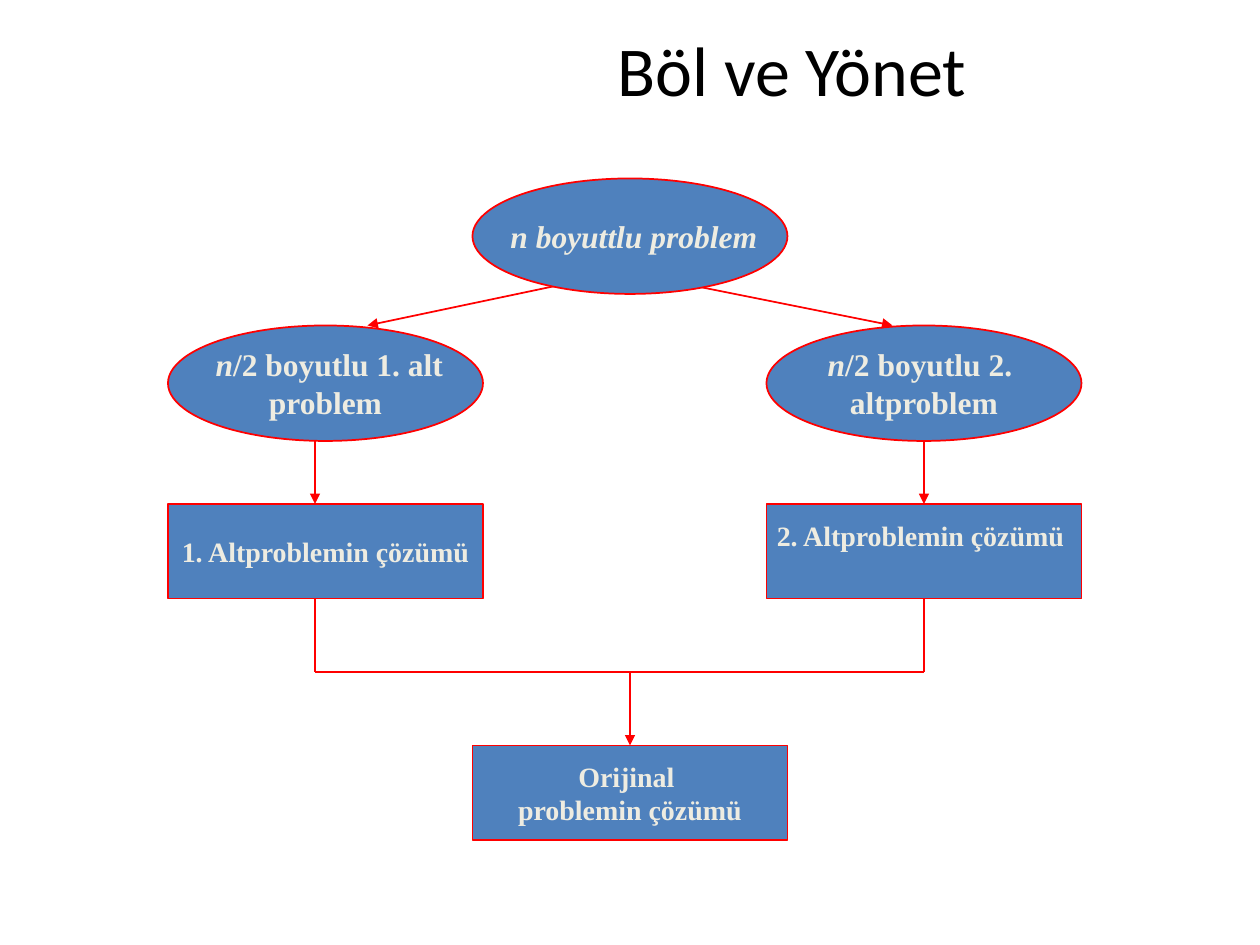
from lxml.etree import SubElement
from pptx import Presentation
from pptx.dml.color import RGBColor
from pptx.enum.shapes import MSO_CONNECTOR, MSO_SHAPE
from pptx.enum.text import MSO_ANCHOR, PP_ALIGN
from pptx.oxml.ns import qn
from pptx.util import Pt

BLACK = RGBColor(0x00, 0x00, 0x00)
RED = RGBColor(0xFF, 0x00, 0x00)
BLUE = RGBColor(0x4F, 0x81, 0xBD)
CREAM = RGBColor(0xEE, 0xEC, 0xE1)

TITLE_FORMAT = {"name": "Calibri", "size": Pt(40)}
PROBLEM_FORMAT = {"name": "Times New Roman", "size": Pt(18), "bold": True}
SOLUTION_FORMAT = {**PROBLEM_FORMAT, "size": Pt(16)}

NODE_WIDTH = 180
PROBLEM_HEIGHT = 66
SOLUTION_HEIGHT = 54
LEFT, MIDDLE, RIGHT = 96, 270, 438
LEFT_AXIS = 180
MIDDLE_AXIS = MIDDLE + NODE_WIDTH / 2
RIGHT_AXIS = RIGHT + NODE_WIDTH / 2
PROBLEM_TOP, SUBPROBLEM_TOP, SOLUTION_TOP, RESULT_TOP = 102, 186, 288, 426
SUBPROBLEM_BOTTOM = SUBPROBLEM_TOP + PROBLEM_HEIGHT
SOLUTION_BOTTOM = SOLUTION_TOP + SOLUTION_HEIGHT
JOIN_LEVEL = 384
TOP_SIDE, BOTTOM_SIDE = 0, 2


class Diagram:
    def __init__(self, slide):
        self.slide = slide

    def set_text(self, text_frame, paragraphs, font_format, color):
        """Fill a frame; each paragraph is a list of (text, italic) runs."""
        text_frame.vertical_anchor = MSO_ANCHOR.MIDDLE
        for index, runs in enumerate(paragraphs):
            paragraph = text_frame.paragraphs[0] if index == 0 else text_frame.add_paragraph()
            paragraph.alignment = PP_ALIGN.CENTER
            for text, italic in runs:
                run = paragraph.add_run()
                run.text = text
                for name, value in font_format.items():
                    setattr(run.font, name, value)
                run.font.italic = italic
                run.font.color.rgb = color

    def title(self, text):
        shape = self.slide.shapes.add_textbox(Pt(48), Pt(12), Pt(648), Pt(54))
        shape.text_frame.word_wrap = True
        shape.text_frame.margin_left = Pt(168)
        self.set_text(shape.text_frame, [[(text, False)]], TITLE_FORMAT, BLACK)

    def node(self, kind, left, top, height, paragraphs, font_format):
        shape = self.slide.shapes.add_shape(kind, Pt(left), Pt(top), Pt(NODE_WIDTH), Pt(height))
        shape.shadow.inherit = False
        shape.fill.solid()
        shape.fill.fore_color.rgb = BLUE
        shape.line.color.rgb = RED
        shape.line.width = Pt(1)
        shape.text_frame.word_wrap = False
        self.set_text(shape.text_frame, paragraphs, font_format, CREAM)
        return shape

    def problem(self, left, top, paragraphs):
        return self.node(MSO_SHAPE.OVAL, left, top, PROBLEM_HEIGHT, paragraphs, PROBLEM_FORMAT)

    def solution(self, left, top, *lines):
        paragraphs = [[(line, False)] for line in lines]
        return self.node(MSO_SHAPE.RECTANGLE, left, top, SOLUTION_HEIGHT, paragraphs, SOLUTION_FORMAT)

    def line(self, start, end, arrow=False):
        points = [Pt(value) for value in (*start, *end)]
        connector = self.slide.shapes.add_connector(MSO_CONNECTOR.STRAIGHT, *points)
        connector.line.color.rgb = RED
        connector.line.width = Pt(1)
        properties = connector._element.spPr
        if arrow:
            SubElement(properties.find(qn("a:ln")), qn("a:tailEnd"), type="triangle")
        SubElement(properties, qn("a:effectLst"))
        return connector


def main():
    presentation = Presentation()
    presentation.slide_width, presentation.slide_height = Pt(720), Pt(540)
    diagram = Diagram(presentation.slides.add_slide(presentation.slide_layouts[6]))

    diagram.title("Böl ve Yönet")
    diagram.problem(RIGHT, SUBPROBLEM_TOP,
                    [[("n", True), ("/2 boyutlu 2. ", False)], [("altproblem", False)]])
    diagram.problem(LEFT, SUBPROBLEM_TOP,
                    [[(" ", False), ("n", True), ("/2 boyutlu 1. alt", False)], [("problem", False)]])
    diagram.solution(LEFT, SOLUTION_TOP, "1. Altproblemin çözümü")
    result = diagram.solution(MIDDLE, RESULT_TOP, "Orijinal ", "problemin çözümü")
    second_solution = diagram.solution(RIGHT, SOLUTION_TOP, "2. Altproblemin çözümü ")
    second_solution.text_frame.margin_bottom = Pt(22)

    # The split arrows start underneath the main problem.
    diagram.line((324, 162), (210, SUBPROBLEM_TOP), arrow=True)
    diagram.line((390, 162), (510, SUBPROBLEM_TOP), arrow=True)
    diagram.problem(MIDDLE, PROBLEM_TOP, [[(" ", False), ("n boyuttlu problem", True)]])

    solving, joining = [], []
    for axis in (LEFT_AXIS, RIGHT_AXIS):
        solving.append(diagram.line((axis, SUBPROBLEM_BOTTOM), (axis, SOLUTION_TOP), arrow=True))
        joining.append(diagram.line((axis, SOLUTION_BOTTOM), (axis, JOIN_LEVEL)))
    solving[1].end_connect(second_solution, TOP_SIDE)
    joining[1].begin_connect(second_solution, BOTTOM_SIDE)
    diagram.line((LEFT_AXIS, JOIN_LEVEL), (RIGHT_AXIS, JOIN_LEVEL))
    final_arrow = diagram.line((MIDDLE_AXIS, JOIN_LEVEL), (MIDDLE_AXIS, RESULT_TOP), arrow=True)
    final_arrow.end_connect(result, TOP_SIDE)

    presentation.save("out.pptx")


if __name__ == "__main__":
    main()
